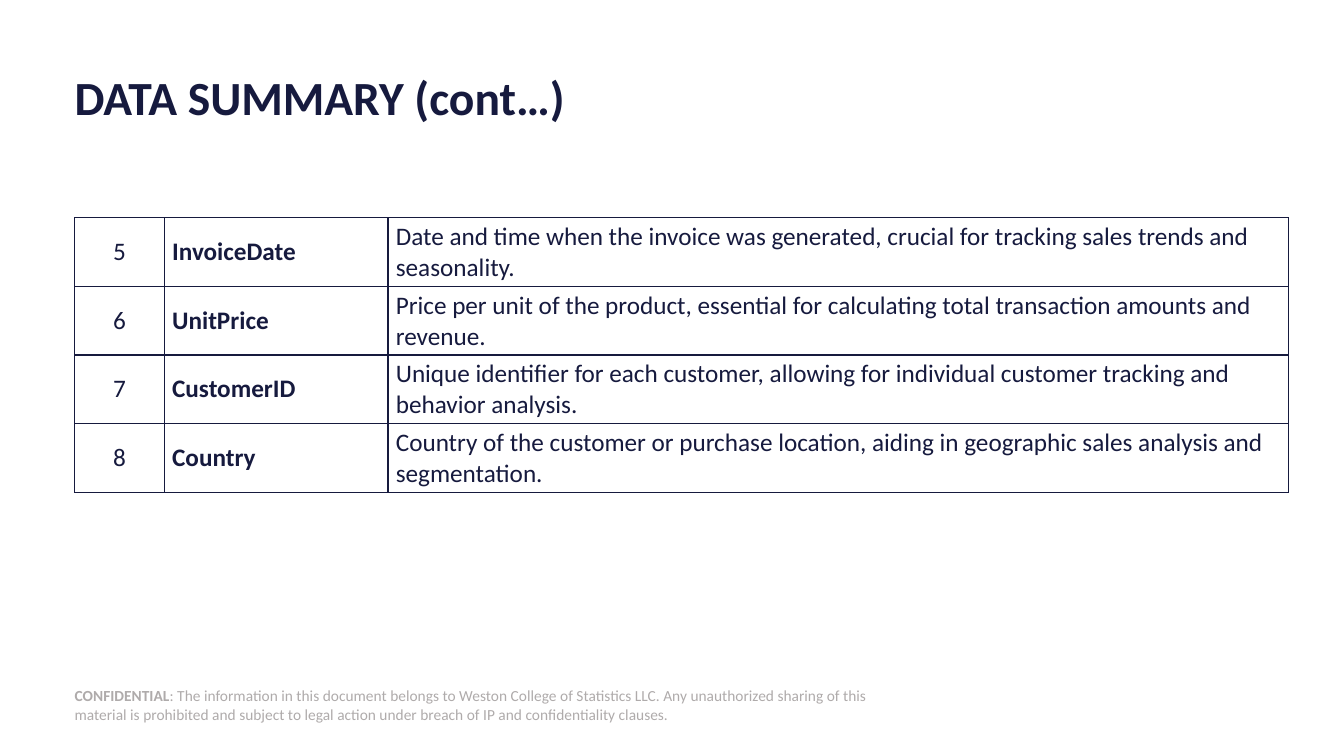
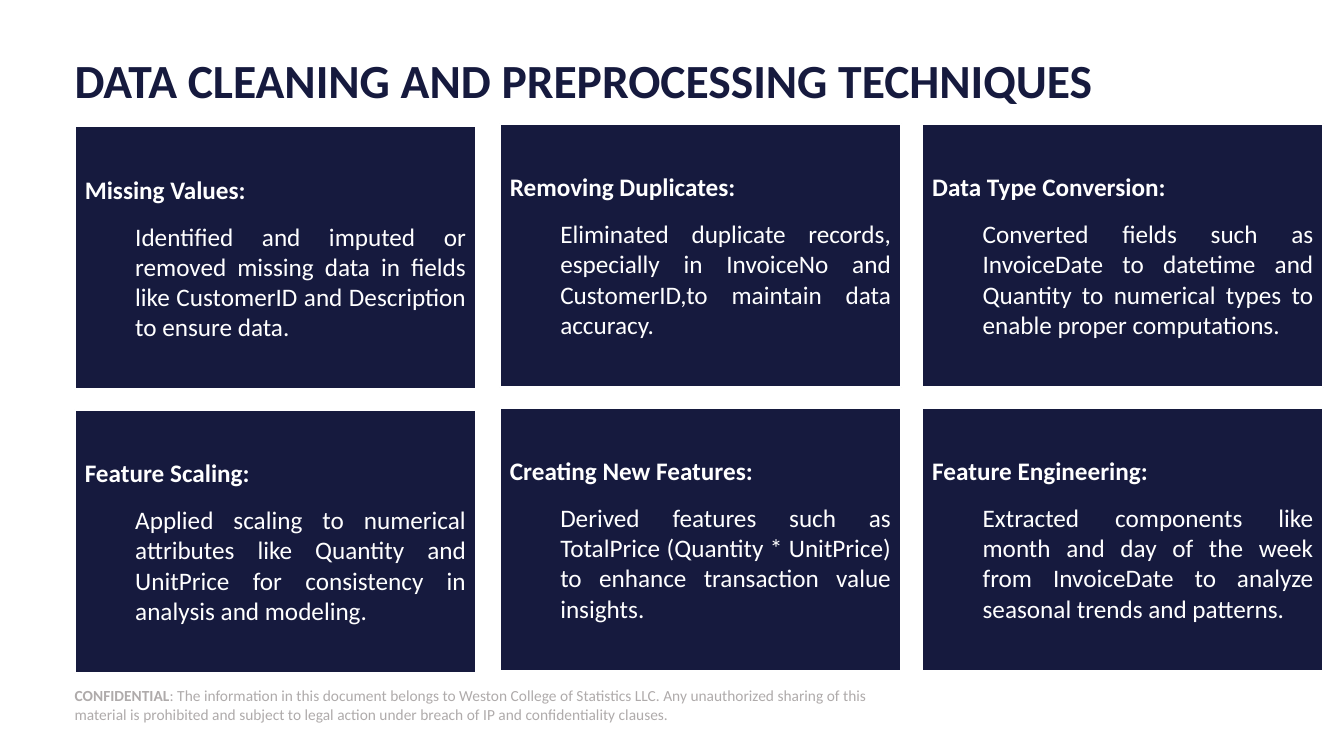
from dataclasses import dataclass
from typing import Any

from lxml import etree
from pptx import Presentation
from pptx.dml.color import RGBColor
from pptx.enum.shapes import MSO_SHAPE
from pptx.enum.text import MSO_ANCHOR, PP_ALIGN
from pptx.oxml.ns import qn
from pptx.util import Pt

RECTANGLE = MSO_SHAPE.RECTANGLE
MIDDLE = MSO_ANCHOR.MIDDLE
LEFT, CENTER, JUSTIFY = PP_ALIGN.LEFT, PP_ALIGN.CENTER, PP_ALIGN.JUSTIFY

NAVY, WHITE, GRAY = "161A3E", "FFFFFF", "AFABAB"
FONT = "Calibri"
MARGIN = 53.3
COLUMN_WIDTHS = (64.1, 159.8, 643)
ROW_HEIGHT = 49
CARD_WIDTH, CARD_HEIGHT, CARD_PITCH = 286.5, 188, 202.6
BORDERS = ("a:lnL", "a:lnR", "a:lnT", "a:lnB")


@dataclass(frozen=True)
class TextStyle:
    size: float
    color: str
    bold: bool = False


@dataclass(frozen=True)
class Field:
    number: str
    name: str
    description: str


@dataclass(frozen=True)
class CardColumn:
    left: float
    top: float


@dataclass(frozen=True)
class Card:
    heading: str
    body: str


TITLE = TextStyle(34, NAVY, True)
FOOTER_LABEL, FOOTER_TEXT = TextStyle(11, GRAY, True), TextStyle(11, GRAY)
CELL, CELL_NAME = TextStyle(18, NAVY), TextStyle(18, NAVY, True)
CARD_HEADING, CARD_BODY = TextStyle(18, WHITE, True), TextStyle(18, WHITE)

NOTICE = (
    ": The information in this document belongs to Weston College of Statistics LLC. "
    "Any unauthorized sharing of this material is prohibited and subject to legal action "
    "under breach of IP and confidentiality clauses."
)
FIELDS = (
    Field("5", "InvoiceDate", "Date and time when the invoice was generated, crucial for "
          "tracking sales trends and seasonality."),
    Field("6", "UnitPrice", "Price per unit of the product, essential for calculating total "
          "transaction amounts and revenue."),
    Field("7", "CustomerID", "Unique identifier for each customer, allowing for individual "
          "customer tracking and behavior analysis."),
    Field("8", "Country", "Country of the customer or purchase location, aiding in geographic "
          "sales analysis and segmentation."),
)
CARD_COLUMNS = (CardColumn(53.5, 90.2), CardColumn(357.1, 88.5), CardColumn(658.8, 88.5))
CARDS = (
    Card("Missing Values:", "Identified and imputed or removed missing data in fields like "
         "CustomerID and Description to ensure data."),
    Card("Removing Duplicates:", "Eliminated duplicate records, especially in InvoiceNo and "
         "CustomerID,to maintain data accuracy."),
    Card("Data Type Conversion:", "Converted fields such as InvoiceDate to datetime and "
         "Quantity to numerical types to enable proper computations."),
    Card("Feature Scaling:", "Applied scaling to numerical attributes like Quantity and "
         "UnitPrice for consistency in analysis and modeling."),
    Card("Creating New Features:", "Derived features such as TotalPrice (Quantity * UnitPrice) "
         "to enhance transaction value insights."),
    Card("Feature Engineering:", "Extracted components like month and day of the week from "
         "InvoiceDate to analyze seasonal trends and patterns."),
)


def rgb(color: str) -> RGBColor:
    return RGBColor.from_string(color)


def set_attributes(target: Any, values: dict[str, Any]) -> None:
    for name, value in values.items():
        setattr(target, name, value)


def add_run(paragraph: Any, text: str, style: TextStyle) -> None:
    run = paragraph.add_run()
    run.text = text
    set_attributes(run.font, {"name": FONT, "size": Pt(style.size), "bold": style.bold})
    run.font.color.rgb = rgb(style.color)


def set_frame(frame: Any, horizontal: float = 0, vertical: float = 0) -> None:
    set_attributes(frame, {
        "word_wrap": True, "vertical_anchor": MIDDLE,
        "margin_left": Pt(horizontal), "margin_right": Pt(horizontal),
        "margin_top": Pt(vertical), "margin_bottom": Pt(vertical),
    })


def add_rectangle(slide: Any, left: float, top: float, width: float, height: float,
                  color: str) -> Any:
    shape = slide.shapes.add_shape(RECTANGLE, Pt(left), Pt(top), Pt(width), Pt(height))
    shape.shadow.inherit = False
    shape.fill.solid()
    shape.fill.fore_color.rgb = rgb(color)
    return shape


def add_footer(slide: Any) -> None:
    shape = add_rectangle(slide, MARGIN, 489, 588, 29, WHITE)
    shape.line.fill.background()
    set_frame(shape.text_frame)
    paragraph = shape.text_frame.paragraphs[0]
    paragraph.alignment = LEFT
    add_run(paragraph, "CONFIDENTIAL", FOOTER_LABEL)
    add_run(paragraph, NOTICE, FOOTER_TEXT)


def add_slide(presentation: Any, title: str, title_top: float) -> Any:
    slide = presentation.slides.add_slide(presentation.slide_layouts[6])
    add_footer(slide)
    box = slide.shapes.add_textbox(Pt(MARGIN), Pt(title_top), Pt(853), Pt(48))
    set_frame(box.text_frame)
    paragraph = box.text_frame.paragraphs[0]
    paragraph.line_spacing = 0.9
    add_run(paragraph, title, TITLE)
    return slide


def add_borders(cell: Any) -> None:
    properties = cell._tc.get_or_add_tcPr()
    for position, tag in enumerate(BORDERS):
        line = etree.Element(qn(tag), w=str(Pt(1)))
        fill = etree.SubElement(line, qn("a:solidFill"))
        etree.SubElement(fill, qn("a:srgbClr"), val=NAVY)
        properties.insert(position, line)


def add_field_table(slide: Any, fields: tuple[Field, ...]) -> None:
    table = slide.shapes.add_table(
        len(fields), len(COLUMN_WIDTHS), Pt(MARGIN), Pt(155.6),
        Pt(sum(COLUMN_WIDTHS)), Pt(ROW_HEIGHT * len(fields))).table
    set_attributes(table, {"first_row": False, "horz_banding": False})
    for column, width in zip(table.columns, COLUMN_WIDTHS):
        column.width = Pt(width)
    for row, field in zip(table.rows, fields):
        row.height = Pt(ROW_HEIGHT)
        contents = ((field.number, CELL, CENTER), (field.name, CELL_NAME, LEFT),
                    (field.description, CELL, LEFT))
        for cell, (text, style, alignment) in zip(row.cells, contents):
            set_attributes(cell, {
                "vertical_anchor": MIDDLE, "margin_left": Pt(5.6), "margin_right": Pt(5.6),
                "margin_top": Pt(2.8), "margin_bottom": Pt(2.8),
            })
            cell.fill.background()
            add_borders(cell)
            paragraph = cell.text_frame.paragraphs[0]
            paragraph.alignment = alignment
            add_run(paragraph, text, style)


def add_card(slide: Any, card: Card, left: float, top: float) -> None:
    shape = add_rectangle(slide, left, top, CARD_WIDTH, CARD_HEIGHT, NAVY)
    shape.line.color.rgb = rgb(WHITE)
    shape.line.width = Pt(1.5)
    frame = shape.text_frame
    set_frame(frame, 7.2, 3.6)
    heading, body = frame.paragraphs[0], frame.add_paragraph()
    for paragraph, text, style in ((heading, card.heading, CARD_HEADING),
                                   (body, card.body, CARD_BODY)):
        set_attributes(paragraph, {"alignment": JUSTIFY, "space_after": Pt(12)})
        add_run(paragraph, text, style)
    body.level = 1
    properties = body._p.get_or_add_pPr()
    properties.set("marL", str(Pt(36)))
    properties.set("indent", "0")


def main() -> None:
    presentation = Presentation()
    set_attributes(presentation, {"slide_width": Pt(960), "slide_height": Pt(540)})

    summary = add_slide(presentation, "DATA SUMMARY (cont…)", 47.5)
    add_field_table(summary, FIELDS)

    cleaning = add_slide(presentation, "DATA CLEANING AND PREPROCESSING TECHNIQUES", 35.3)
    for index, card in enumerate(CARDS):
        row, column = divmod(index, len(CARD_COLUMNS))
        place = CARD_COLUMNS[column]
        add_card(cleaning, card, place.left, place.top + row * CARD_PITCH)

    presentation.save("out.pptx")


if __name__ == "__main__":
    main()
